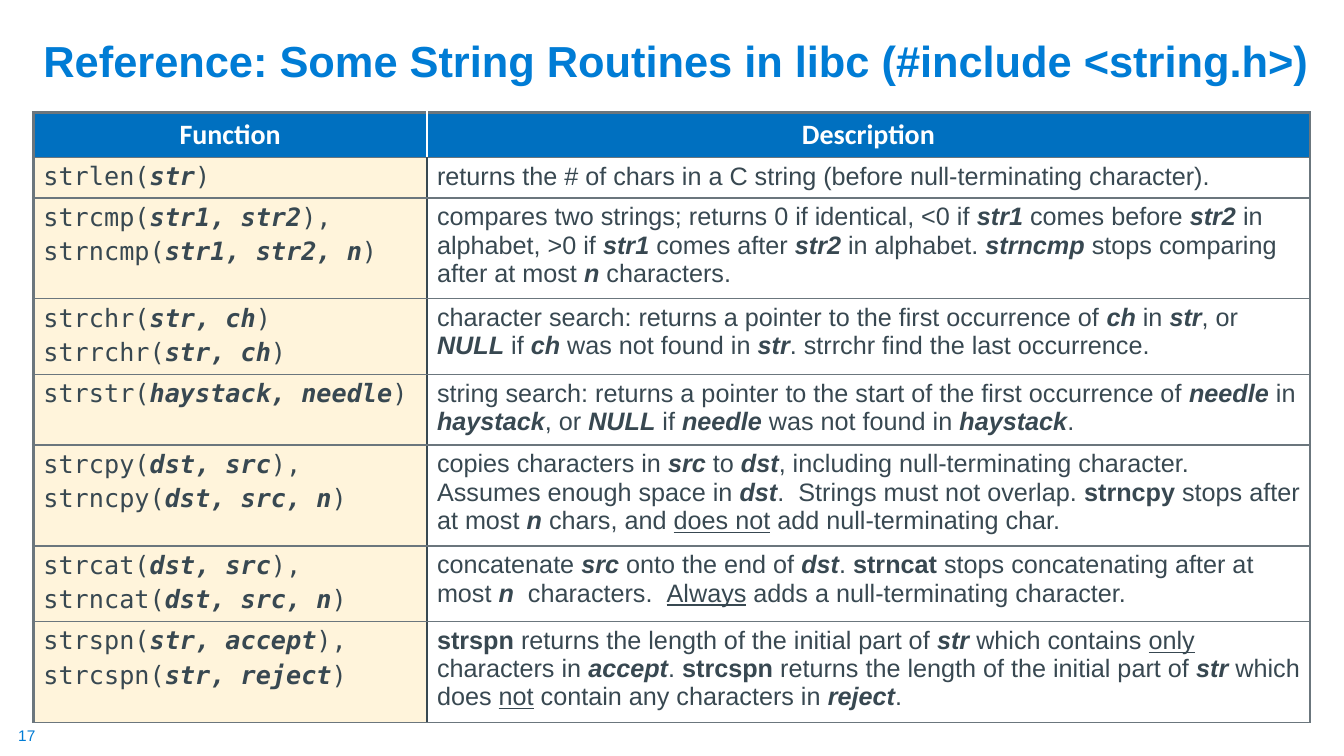
from lxml.etree import SubElement
from pptx import Presentation
from pptx.dml.color import RGBColor
from pptx.enum.text import MSO_ANCHOR as Anchor, MSO_AUTO_SIZE as AutoSize, PP_ALIGN as Align
from pptx.oxml.ns import qn
from pptx.util import Cm, Pt

COLORS = {
    "title": "007CD5",
    "header": "0070C0",
    "function": "FFF4DB",
    "text": "384851",
    "grid": "6B767D",
    "white": "FFFFFF",
}
MARKS = {"*": ("bold", "italic"), "+": ("bold",), "_": ("underline",)}
COLUMN_WIDTHS = [9.92, 22.25]
ROW_HEIGHTS = [1.13, 1.02, 2.4, 1.85, 1.69, 2.4, 1.85, 2.4]
HEADINGS = ["Function", "Description"]
ROUTINES = [
    (["strlen(|*str|)"],
     "returns the # of chars in a C string (before null-terminating character)."),
    (["strcmp(|*str1, str2|),", "strncmp(|*str1, str2, n|)"],
     "compares two strings; returns 0 if identical, <0 if |*str1| comes before |*str2| in "
     "alphabet, >0 if |*str1| comes after |*str2| in alphabet. |*strncmp |stops comparing "
     "after at most |*n| characters."),
    (["strchr(|*str, ch|)", "strrchr(|*str, ch|)"],
     "character search: returns a pointer to the first occurrence of |*ch| in |*str|, or "
     "|*NULL| if |*ch| was not found in |*str|. strrchr find the last occurrence."),
    (["strstr(|*haystack, needle|)"],
     "string search: returns a pointer to the start of the first occurrence of |*needle| in "
     "|*haystack|, or |*NULL| if |*needle |was not found in |*haystack|."),
    (["strcpy(|*dst, src|),", "strncpy(|*dst, src, n|)"],
     "copies characters in |*src| to |*dst|, including null-terminating character.  "
     "Assumes enough space in |*dst|.  Strings must not overlap. |+strncpy |stops "
     "after at most |*n| chars, and |_does not| add null-terminating char."),
    (["strcat(|*dst, src|),", "strncat(|*dst, src, n|)"],
     "concatenate |*src| onto the end of |*dst|. |+strncat |stops concatenating after at "
     "most |*n|  characters.  |_Always| adds a null-terminating character."),
    (["strspn(|*str, accept|),", "strcspn(|*str, reject|)"],
     "|+strspn |returns the length of the initial part of |*str| which contains |_only| "
     "characters in |*accept|. |+strcspn |returns the length of the initial part of |*str| "
     "which does |_not| contain any characters in |*reject|."),
]


class ReferencePage:
    def __init__(self, deck):
        self.page = deck.slides.add_slide(deck.slide_layouts[5])

    def fill_text(self, frame, lines, font, size, color, bold=None, align=Align.LEFT):
        for index, line in enumerate(lines):
            para = frame.add_paragraph() if index else frame.paragraphs[0]
            para.alignment = align
            para.space_before = Pt(size * 0.2 if index else 0)
            para.font.name = font
            para.font.size = Pt(size)
            para.font.bold = bold
            para.font.color.rgb = RGBColor.from_string(COLORS[color])
            for position, part in enumerate(line.split("|")):
                marked = position % 2
                if not part:
                    continue
                span = para.add_run()
                span.text = part[1:] if marked else part
                traits = MARKS[part[0]] if marked else ()
                if "bold" in traits:
                    span.font.bold = True
                if "italic" in traits:
                    span.font.italic = True
                if "underline" in traits:
                    span.font.underline = True

    def title(self, text):
        box = self.page.shapes.title
        box.left, box.top, box.width, box.height = Cm(0.84), Cm(0.33), Cm(32.74), Cm(1.98)
        frame = box.text_frame
        frame.vertical_anchor = Anchor.BOTTOM
        frame.auto_size = AutoSize.NONE
        self.fill_text(frame, [text], "Arial", 31, "title", bold=True)
        frame.paragraphs[0].line_spacing = 0.9

    def number(self, text):
        box = self.page.shapes.add_textbox(Cm(0.46), Cm(18.31), Cm(0.48), Cm(0.48))
        frame = box.text_frame
        frame.margin_left = frame.margin_right = frame.margin_top = frame.margin_bottom = 0
        frame.word_wrap = False
        self.fill_text(frame, [text], "Arial", 11, "title")

    def borders(self, cell, **sides):
        properties = cell._tc.get_or_add_tcPr()
        for side in "LRTB":
            color, width = sides[side]
            line = SubElement(properties, qn(f"a:ln{side}"), w=str(Pt(width)))
            fill = SubElement(line, qn("a:solidFill"))
            SubElement(fill, qn("a:srgbClr"), val=COLORS[color])

    def table(self, headings, routines):
        table = self.page.shapes.add_table(
            len(ROW_HEIGHTS), len(COLUMN_WIDTHS), Cm(0.84), Cm(2.84),
            Cm(sum(COLUMN_WIDTHS)), Cm(sum(ROW_HEIGHTS))).table
        for column, width in zip(table.columns, COLUMN_WIDTHS):
            column.width = Cm(width)
        for row, height in zip(table.rows, ROW_HEIGHTS):
            row.height = Cm(height)
        for column, heading in enumerate(headings):
            frame = self.cell(table, 0, column, "header")
            self.fill_text(frame, [heading], "Calibri", 20, "white", True, Align.CENTER)
        for row, (calls, description) in enumerate(routines, 1):
            frame = self.cell(table, row, 0, "function")
            self.fill_text(frame, calls, "DejaVu Sans Mono", 18, "text", bold=False)
            frame = self.cell(table, row, 1)
            self.fill_text(frame, [description], "Arial", 18, "text", bold=False)

    def cell(self, table, row, column, fill=None):
        cell = table.cell(row, column)
        outer = ("grid", 2.25)
        divider = ("text" if row else "white", 2.25)
        self.borders(cell, L=divider if column else outer, R=outer if column else divider,
                     T=("grid", 1) if row else outer, B=("grid", 1))
        if fill:
            cell.fill.solid()
            cell.fill.fore_color.rgb = RGBColor.from_string(COLORS[fill])
        else:
            cell.fill.background()
        return cell.text_frame


def main():
    deck = Presentation()
    deck.slide_width, deck.slide_height = Cm(33.87), Cm(19.05)
    reference = ReferencePage(deck)
    reference.number("17")
    reference.title("Reference: Some String Routines in libc (#include <string.h>)")
    reference.table(HEADINGS, ROUTINES)
    deck.save("out.pptx")


if __name__ == "__main__":
    main()
